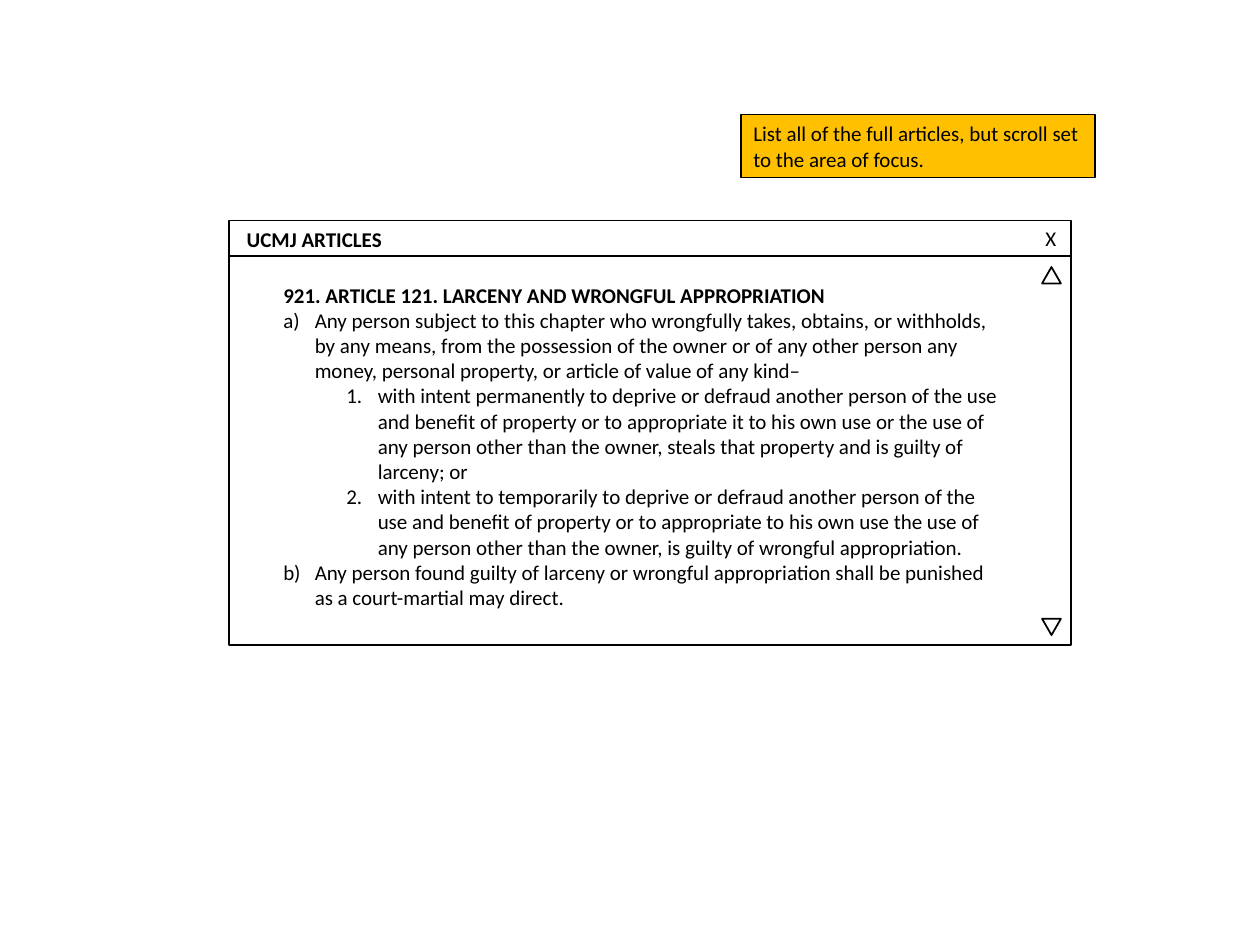
import pptx
import pptx.dml.color
import pptx.enum.shapes
import pptx.enum.text
import pptx.oxml.ns
import pptx.util
from lxml import etree

Inches = pptx.util.Inches
Pt = pptx.util.Pt
SHAPE = pptx.enum.shapes.MSO_SHAPE
ALIGN = pptx.enum.text.PP_ALIGN
BLACK = pptx.dml.color.RGBColor(0x00, 0x00, 0x00)
WHITE = pptx.dml.color.RGBColor(0xFF, 0xFF, 0xFF)
AMBER = pptx.dml.color.RGBColor(0xFF, 0xC0, 0x00)

FONT = {"name": "Calibri", "size": Pt(12), "bold": False}
WINDOW_LEFT, WINDOW_WIDTH, WINDOW_HEIGHT = 1.82, 6.68, 3.09

# Article text: list level (None for the heading) and wording
ARTICLE = [
    (None, "921. ARTICLE 121. LARCENY AND WRONGFUL APPROPRIATION"),
    (0, "Any person subject to this chapter who wrongfully takes, obtains, or "
        "withholds, by any means, from the possession of the owner or of any "
        "other person any money, personal property, or article of value of any kind–"),
    (1, "with intent permanently to deprive or defraud another person of the use "
        "and benefit of property or to appropriate it to his own use or the use of "
        "any person other than the owner, steals that property and is guilty of "
        "larceny; or"),
    (1, "with intent to temporarily to deprive or defraud another person of the "
        "use and benefit of property or to appropriate to his own use the use of "
        "any person other than the owner, is guilty of wrongful appropriation."),
    (0, "Any person found guilty of larceny or wrongful appropriation shall be "
        "punished as a court-martial may direct."),
]
NUMBERING = ["alphaLcParenR", "arabicPeriod"]


def add_outlined(slide, kind, left, top, width, height, fill=WHITE, weight=1):
    s = slide.shapes.add_shape(kind, Inches(left), Inches(top),
                               Inches(width), Inches(height))
    s.shadow.inherit = False
    s.fill.solid()
    s.fill.fore_color.rgb = fill
    s.line.color.rgb = BLACK
    s.line.width = Pt(weight)
    return s


def add_text_box(slide, left, top, width, height):
    tf = slide.shapes.add_textbox(Inches(left), Inches(top),
                                  Inches(width), Inches(height)).text_frame
    tf.word_wrap = True
    return tf


def write(p, text, align=ALIGN.LEFT, **changes):
    p.alignment = align
    r = p.add_run()
    r.text = text
    for name, value in {**FONT, **changes}.items():
        setattr(r.font, name, value)
    r.font.color.rgb = BLACK


def number(p, level):
    p.level = level
    pPr = p._p.get_or_add_pPr()
    pPr.set("marL", str(Inches(0.25 + 0.5 * level)))
    pPr.set("indent", str(Inches(-0.25)))
    bullet = etree.SubElement(pPr, pptx.oxml.ns.qn("a:buAutoNum"))
    bullet.set("type", NUMBERING[level])


def add_article(slide):
    tf = add_text_box(slide, 2.15, 2.19, 5.9, 2.93)
    for i, (level, text) in enumerate(ARTICLE):
        p = tf.add_paragraph() if i else tf.paragraphs[0]
        write(p, text, bold=level is None)
        if level is not None:
            number(p, level)


def add_note(slide, text):
    s = add_outlined(slide, SHAPE.RECTANGLE, 5.88, 0.91, 2.81, 0.5, AMBER, 0.75)
    s.text_frame.word_wrap = True
    write(s.text_frame.paragraphs[0], text)


def main():
    prs = pptx.Presentation()
    prs.slide_width, prs.slide_height = Inches(10), Inches(7.5)
    slide = prs.slides.add_slide(prs.slide_layouts[6])

    # Window: title bar behind, content pane in front
    for top in (1.75, 2.03):
        add_outlined(slide, SHAPE.RECTANGLE, WINDOW_LEFT, top,
                     WINDOW_WIDTH, WINDOW_HEIGHT)
    add_article(slide)

    # Title and close button
    write(add_text_box(slide, 1.86, 1.75, 5.9, 0.3).paragraphs[0],
          "UCMJ ARTICLES", bold=True)
    write(add_text_box(slide, 8.18, 1.74, 0.32, 0.3).paragraphs[0],
          "X", ALIGN.CENTER)

    # Scroll arrows, up and down
    for top, angle in ((2.12, 0), (4.91, 180)):
        arrow = add_outlined(slide, SHAPE.ISOSCELES_TRIANGLE, 8.27, top, 0.15, 0.13)
        arrow.rotation = angle

    # Designer note
    add_note(slide, "List all of the full articles, but scroll set to the area of focus.")

    prs.save("out.pptx")


if __name__ == "__main__":
    main()
